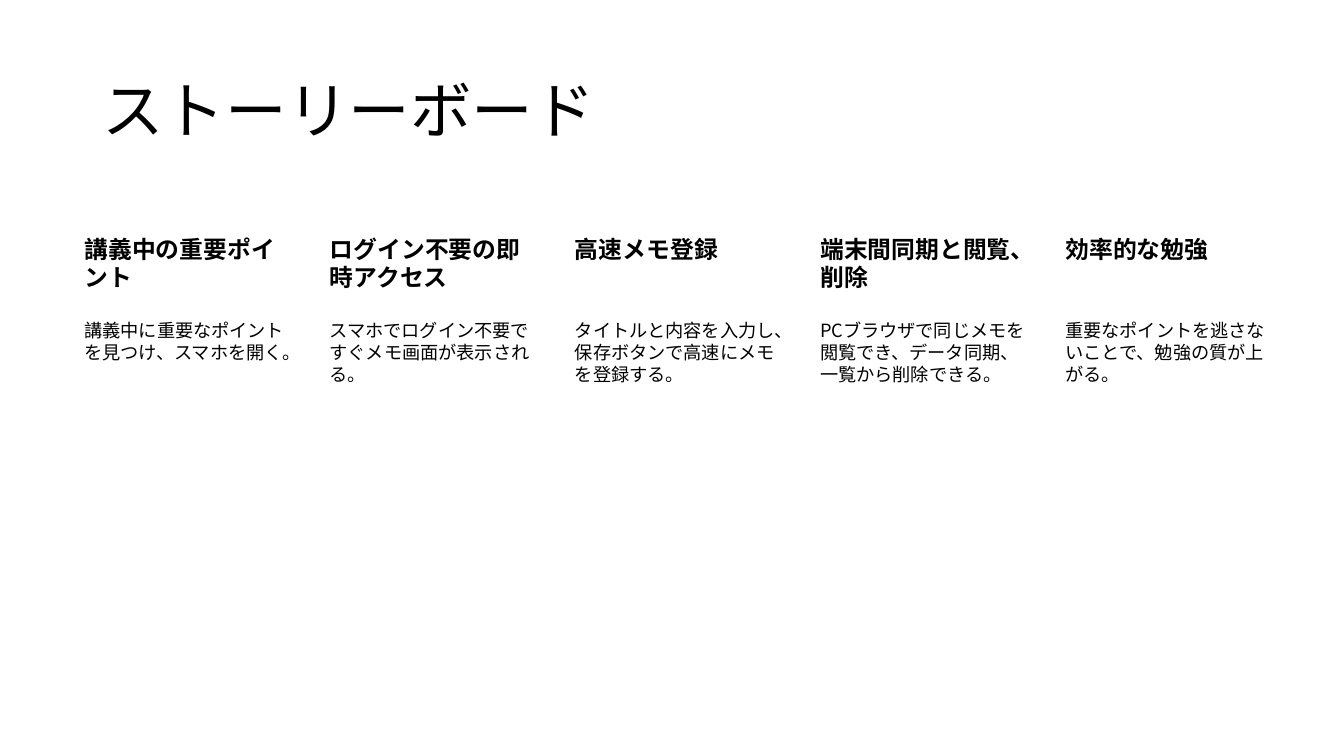
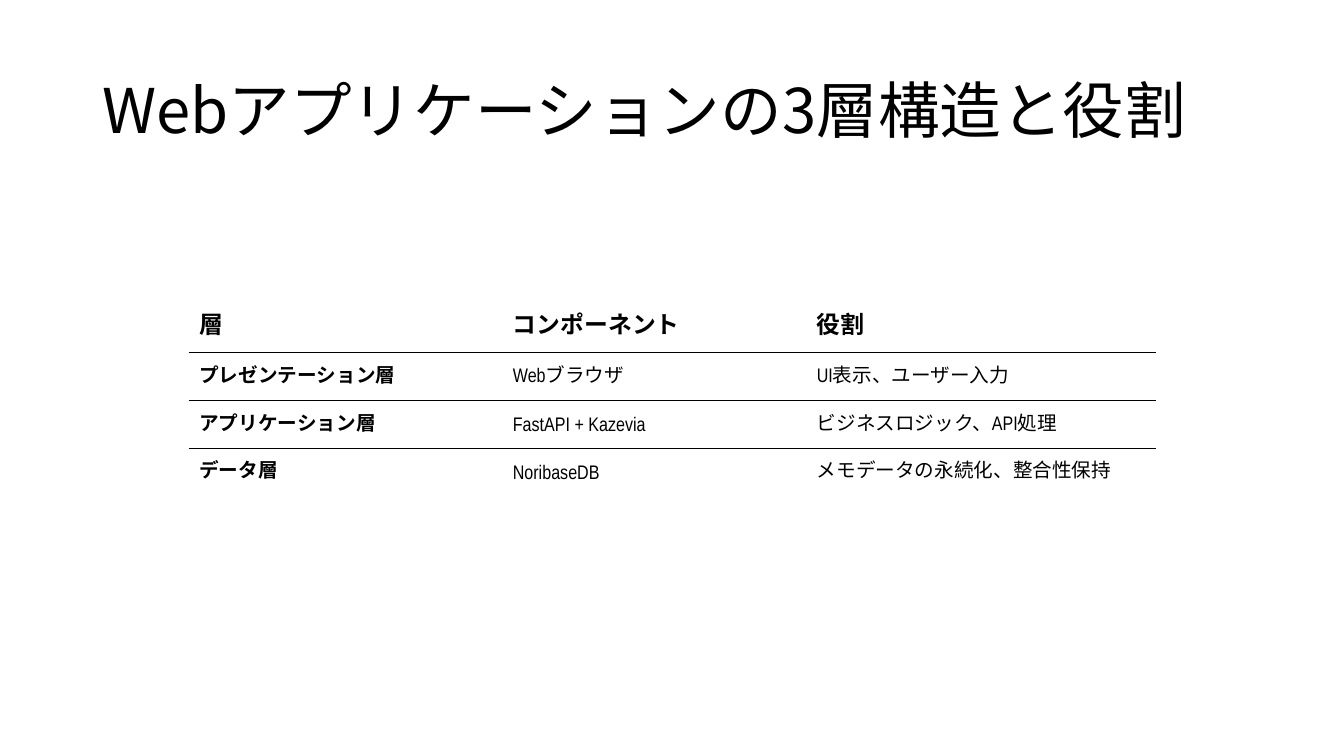
from lxml import etree
from pptx import Presentation
from pptx.dml.color import RGBColor
from pptx.enum import text
from pptx.oxml.ns import qn
from pptx import util as u

HUES = {"ink": "000000", "paper": "FFFFFF"}
FONT = "Noto Sans CJK JP"
SLIM = "Arial Narrow"

STEPS = [
    ("講義中の重要ポイント", "講義中に重要なポイントを見つけ、スマホを開く。"),
    ("ログイン不要の即時アクセス", "スマホでログイン不要ですぐメモ画面が表示される。"),
    ("高速メモ登録", "タイトルと内容を入力し、保存ボタンで高速にメモを登録する。"),
    ("端末間同期と閲覧、削除", "PCブラウザで同じメモを閲覧でき、データ同期、一覧から削除できる。"),
    ("効率的な勉強", "重要なポイントを逃さないことで、勉強の質が上がる。"),
]
LAYERS = [
    ("層", "コンポーネント", "役割"),
    ("プレゼンテーション層", "Webブラウザ", "UI表示、ユーザー入力"),
    ("アプリケーション層", "FastAPI + Kazevia", "ビジネスロジック、API処理"),
    ("データ層", "NoribaseDB", "メモデータの永続化、整合性保持"),
]


def write(frame, words, size, lead, bold=False, latin=FONT):
    para = frame.paragraphs[0]
    para.text = words
    para.line_spacing = lead
    font = para.font
    font.size, font.bold, font.name = u.Pt(size), bold, latin
    font.color.rgb = RGBColor.from_string(HUES["ink"])
    props = para._p.pPr.find(qn("a:defRPr"))
    etree.SubElement(props, qn("a:ea")).set("typeface", FONT)


def add_box(slide, left, top, width, height):
    box = slide.shapes.add_textbox(u.Cm(left), u.Cm(top), u.Cm(width), u.Cm(height))
    box.text_frame.word_wrap = True
    return box.text_frame


def add_page(deck, title):
    slide = deck.slides.add_slide(deck.slide_layouts[6])
    frame = add_box(slide, 2.33, 1.01, 29.21, 3.68)
    frame.vertical_anchor = text.MSO_ANCHOR.MIDDLE
    write(frame, title, 44, 0.9)
    return slide


def add_note(slide, left, top, height, words, size, lead, bold):
    frame = add_box(slide, left, top, 5.61, height)
    frame.margin_left = u.Cm(0.38)
    frame.margin_top = frame.margin_right = frame.margin_bottom = u.Cm(0.05)
    write(frame, words, size, u.Pt(lead), bold)


def add_steps(slide):
    for i, (head, body) in enumerate(STEPS):
        left = 1.75 + 6.18 * i
        add_note(slide, left, 5.88, 2.13, head, 17, 20, True)
        add_note(slide, left, 8, 8.64, body, 13, 15.7, False)


def add_edge(cell, side, hue, width):
    props = cell._tc.get_or_add_tcPr()
    line = etree.SubElement(props, qn("a:ln" + side), w=str(u.Pt(width)))
    fill = etree.SubElement(line, qn("a:solidFill"))
    etree.SubElement(fill, qn("a:srgbClr"), val=HUES[hue])


def style_cell(cell, above, below):
    rules = {"L": False, "R": False, "T": above, "B": below}
    for side, ruled in rules.items():
        add_edge(cell, side, *(("ink", 0.6) if ruled else ("paper", 1)))
    cell.fill.solid()
    cell.fill.fore_color.rgb = RGBColor.from_string(HUES["paper"])
    cell.vertical_anchor = text.MSO_ANCHOR.MIDDLE


def add_grid(slide):
    widths = [7.9, 7.66, 8.78]
    heights = [1.33] + [1.2] * (len(LAYERS) - 1)
    table = slide.shapes.add_table(
        len(heights), len(widths), u.Cm(4.77), u.Cm(7.56),
        u.Cm(sum(widths)), u.Cm(sum(heights))).table
    table.horz_banding = False
    for col, width in zip(table.columns, widths):
        col.width = u.Cm(width)
    for i, row in enumerate(LAYERS):
        table.rows[i].height = u.Cm(heights[i])
        size, lead = (14, 16.5) if i else (17, 20.2)
        for j, words in enumerate(row):
            cell = table.cell(i, j)
            style_cell(cell, i > 0, i < len(LAYERS) - 1)
            write(cell.text_frame, words, size, u.Pt(lead), i == 0 or j == 0, SLIM)


def main():
    deck = Presentation()
    deck.slide_width, deck.slide_height = u.Cm(33.87), u.Cm(19.05)
    add_steps(add_page(deck, "ストーリーボード"))
    add_grid(add_page(deck, "Webアプリケーションの3層構造と役割"))
    deck.save("out.pptx")


if __name__ == "__main__":
    main()
